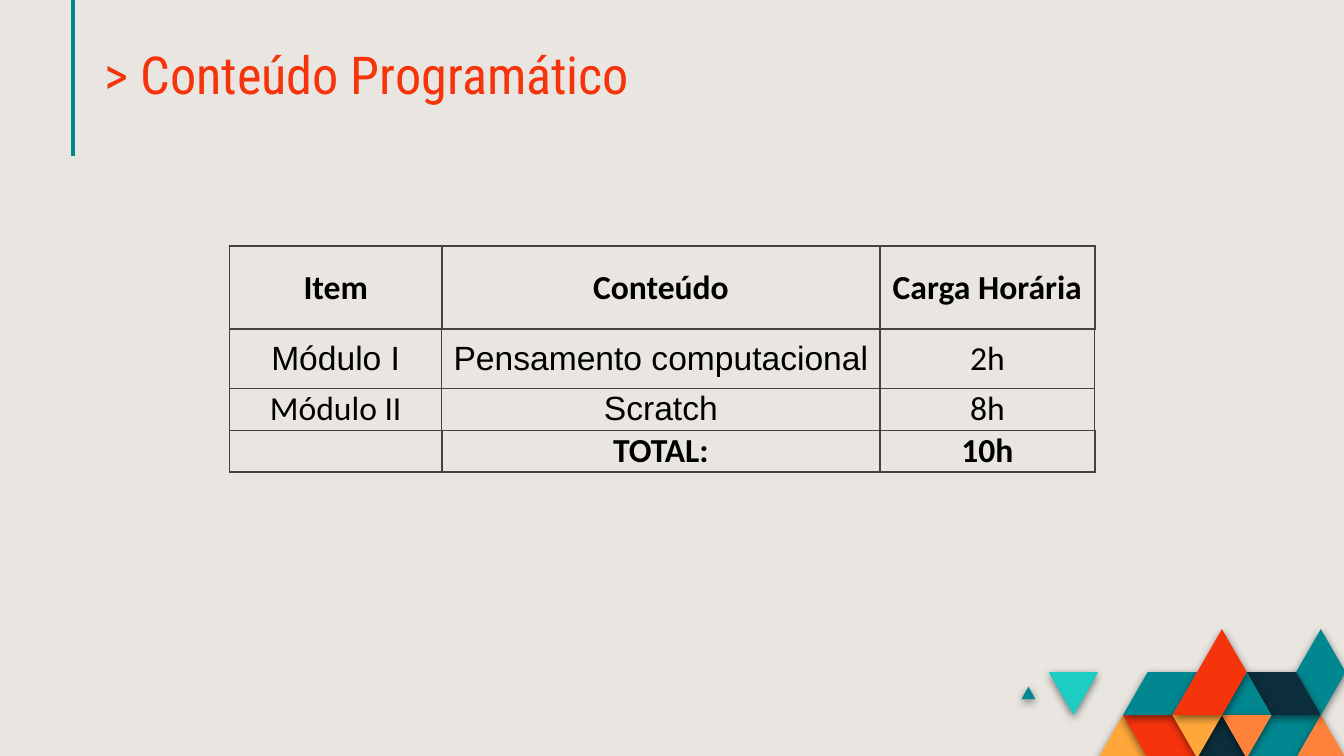
import collections
import dataclasses

import lxml.etree
import pptx
import pptx.dml.color
import pptx.enum.dml
import pptx.enum.shapes
import pptx.enum.text
import pptx.oxml
import pptx.oxml.ns
import pptx.util

Cm = pptx.util.Cm
Pt = pptx.util.Pt
qn = pptx.oxml.ns.qn
Box = collections.namedtuple("Box", "left top width height")


@dataclasses.dataclass(frozen=True)
class Theme:
    background: str = "E9E6E1"
    teal: str = "018790"
    aqua: str = "1DCDC3"
    red: str = "F5340B"
    amber: str = "FFA73B"
    orange: str = "FF823B"
    navy: str = "0C2E3A"
    border: str = "434343"
    text: str = "000000"
    title_font: str = "Roboto Condensed"
    table_font: str = "Calibri"
    body_font: str = "Arial"
    title_size: float = 28
    table_size: float = 18


THEME = Theme()

TILES = [
    (THEME.amber, [(2, 3), (3, 2), (4, 3)]),
    (THEME.red, [(3, 2), (5, 2), (6, 3), (4, 3)]),
    (THEME.teal, [(8, 3), (9, 2), (11, 2), (10, 3)]),
    (THEME.orange, [(10, 3), (11, 2), (12, 3)]),
    (THEME.navy, [(6, 3), (7, 2), (8, 3)]),
    (THEME.teal, [(3, 2), (4, 1), (6, 1), (5, 2)]),
    (THEME.teal, [(-1.1, 1.63), (-0.82, 1.34), (-0.54, 1.63)]),
    (THEME.aqua, [(0, 1), (2, 1), (1, 2)]),
    (THEME.teal, [(10, 1), (11, 0), (12, 1), (11, 2)]),
    (THEME.navy, [(8, 1), (10, 1), (11, 2), (9, 2)]),
    (THEME.teal, [(7, 2), (8, 1), (9, 2)]),
    (THEME.orange, [(7, 2), (9, 2), (8, 3)]),
    (THEME.amber, [(5, 2), (7, 2), (6, 3)]),
    (THEME.red, [(5, 2), (7, 0), (8, 1), (7, 2)]),
]

ROWS = [
    ["Item", "Conteúdo", "Carga Horária"],
    ["Módulo I", "Pensamento computacional", "2h"],
    ["Módulo II", "Scratch", "8h"],
    ["", "TOTAL:", "10h"],
]
BODY_FONT_CELLS = {"Módulo I", "Pensamento computacional", "Scratch"}
COLUMN_WIDTHS = [4.01, 8.28, 4.06]
ROW_HEIGHTS = [1.57, 1.12, 0.79, 0.79]


def rgb(color):
    return pptx.dml.color.RGBColor.from_string(color)


def write_text(frame, text, font, size, color, bold=False, align=None, spacing=None):
    para = frame.paragraphs[0]
    para.alignment = align
    para.line_spacing = spacing
    if not text:
        para.font.size = Pt(size)
        return
    span = para.add_run()
    span.text = text
    span.font.name = font
    span.font.size = Pt(size)
    span.font.bold = bold
    span.font.color.rgb = rgb(color)


def add_shadow(shape):
    shape.shadow.inherit = False
    effects = shape._element.spPr.find(qn("a:effectLst"))
    shadow = lxml.etree.SubElement(
        effects, qn("a:outerShdw"), blurRad=str(Pt(4.5)), dist=str(Pt(1.5)),
        dir="5400000", algn="bl", rotWithShape="0")
    color = lxml.etree.SubElement(shadow, qn("a:srgbClr"), val="000000")
    lxml.etree.SubElement(color, qn("a:alpha"), val="49000")


def add_accent_line(page, box):
    line = page.shapes.add_connector(
        pptx.enum.shapes.MSO_CONNECTOR.STRAIGHT, Cm(box.left), Cm(box.top),
        Cm(box.left + box.width), Cm(box.top + box.height))
    line.line.color.rgb = rgb(THEME.teal)
    line.line.width = Pt(2.25)
    lxml.etree.SubElement(line._element.spPr, qn("a:effectLst"))


def add_mosaic(page, box):
    column, row = box.width / 12, box.height / 3
    for color, corners in TILES:
        points = [(Cm(box.left + x * column), Cm(box.top + y * row)) for x, y in corners]
        builder = page.shapes.build_freeform(*points[0])
        builder.add_line_segments(points[1:], close=True)
        tile = builder.convert_to_shape()
        tile.fill.solid()
        tile.fill.fore_color.rgb = rgb(color)
        tile.line.fill.background()
        add_shadow(tile)


def add_title(page, box):
    title = page.shapes.add_textbox(*map(Cm, box))
    frame = title.text_frame
    frame.word_wrap = True
    frame.vertical_anchor = pptx.enum.text.MSO_ANCHOR.MIDDLE
    frame.margin_left = frame.margin_right = Cm(0.25)
    frame.margin_top = frame.margin_bottom = Cm(0.25)
    write_text(frame, "> Conteúdo Programático", font=THEME.title_font,
               size=THEME.title_size, color=THEME.red, spacing=0.8)


def set_borders(cell, widths):
    properties = cell._tc.get_or_add_tcPr()
    for index, (side, width) in enumerate(zip("LRTB", widths)):
        line = pptx.oxml.parse_xml(
            f'<a:ln{side} {pptx.oxml.ns.nsdecls("a")} w="{Pt(width)}"><a:solidFill>'
            f'<a:srgbClr val="{THEME.border}"/></a:solidFill></a:ln{side}>')
        properties.insert(index, line)


def add_schedule(page, box):
    table = page.shapes.add_table(len(ROWS), len(COLUMN_WIDTHS), *map(Cm, box)).table
    table.first_row = table.horz_banding = False
    for column, width in zip(table.columns, COLUMN_WIDTHS):
        column.width = Cm(width)
    last = len(ROWS) - 1
    for index, (row, height, texts) in enumerate(zip(table.rows, ROW_HEIGHTS, ROWS)):
        row.height = Cm(height)
        strong = index in (0, last)
        side = 1 if strong else 0.75
        borders = [side, side, 1 if index == 0 else 0.75, 1 if index == last else 0.75]
        for cell, text in zip(row.cells, texts):
            cell.fill.background()
            cell.margin_left = cell.margin_right = cell.margin_top = cell.margin_bottom = 0
            cell.vertical_anchor = pptx.enum.text.MSO_ANCHOR.MIDDLE
            font = THEME.body_font if text in BODY_FONT_CELLS else THEME.table_font
            write_text(cell.text_frame, text, font=font, size=THEME.table_size,
                       color=THEME.text, bold=strong,
                       align=pptx.enum.text.PP_ALIGN.CENTER)
            set_borders(cell, borders)


def main():
    deck = pptx.Presentation()
    deck.slide_width, deck.slide_height = Cm(25.4), Cm(14.29)
    page = deck.slides.add_slide(deck.slide_layouts[6])
    page.background.fill.solid()
    page.background.fill.fore_color.rgb = rgb(THEME.background)
    add_accent_line(page, Box(1.38, -0.18, 0, 3.13))
    add_mosaic(page, Box(19.82, 11.89, 5.61, 2.44))
    add_title(page, Box(1.73, 0.71, 12.4, 1.6))
    add_schedule(page, Box(4.34, 4.65, sum(COLUMN_WIDTHS), sum(ROW_HEIGHTS)))
    deck.save("out.pptx")


if __name__ == "__main__":
    main()
